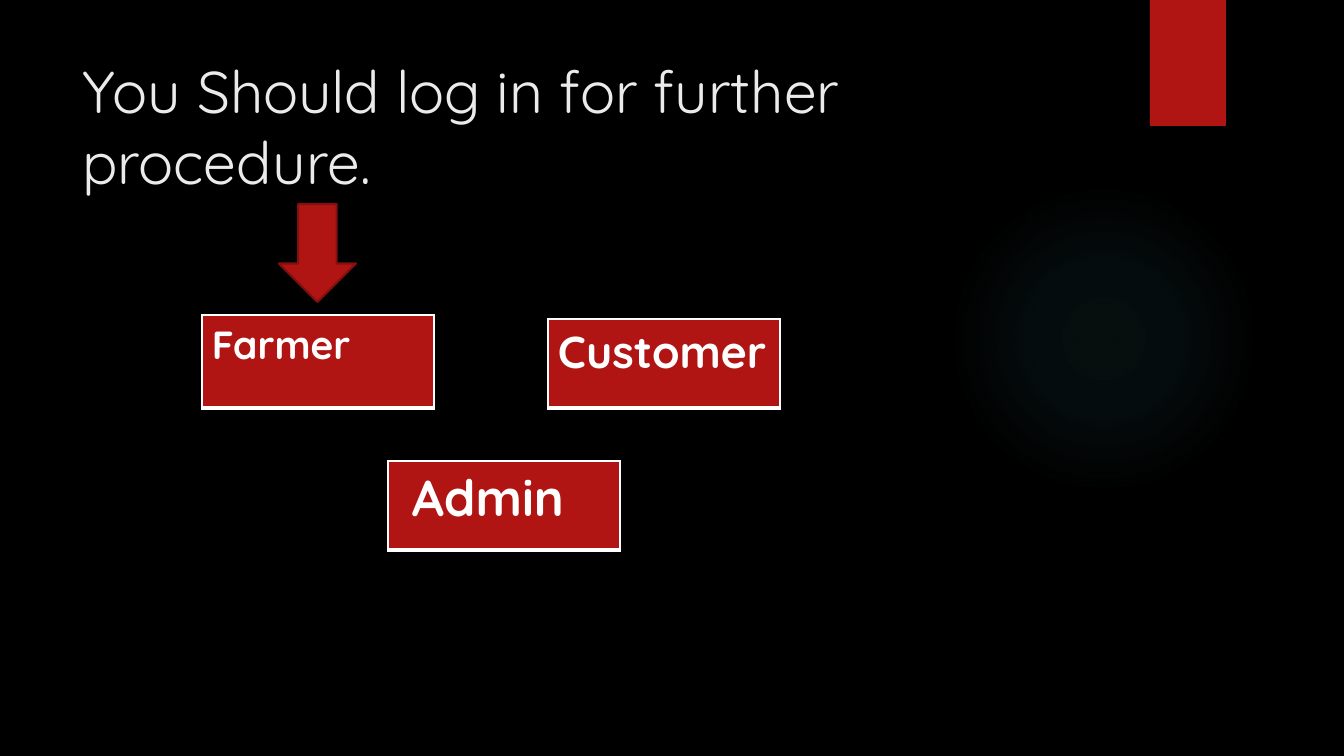
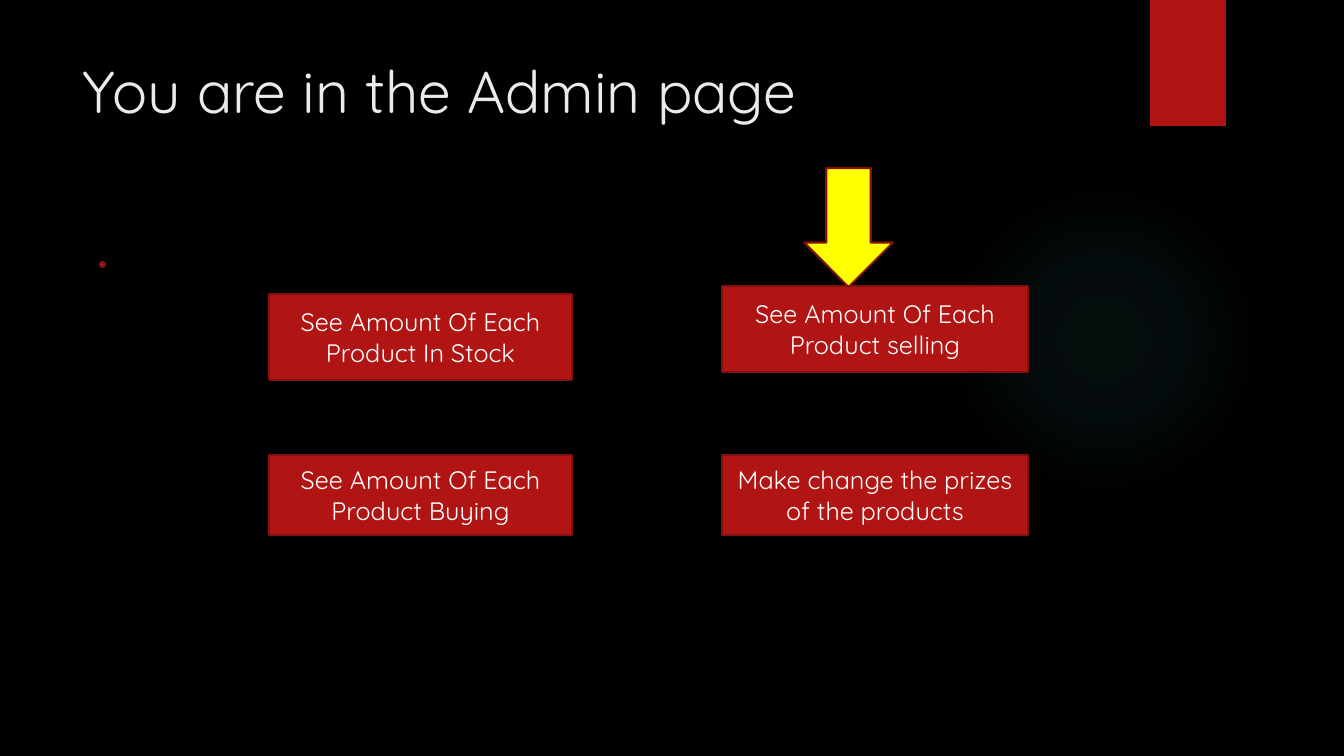
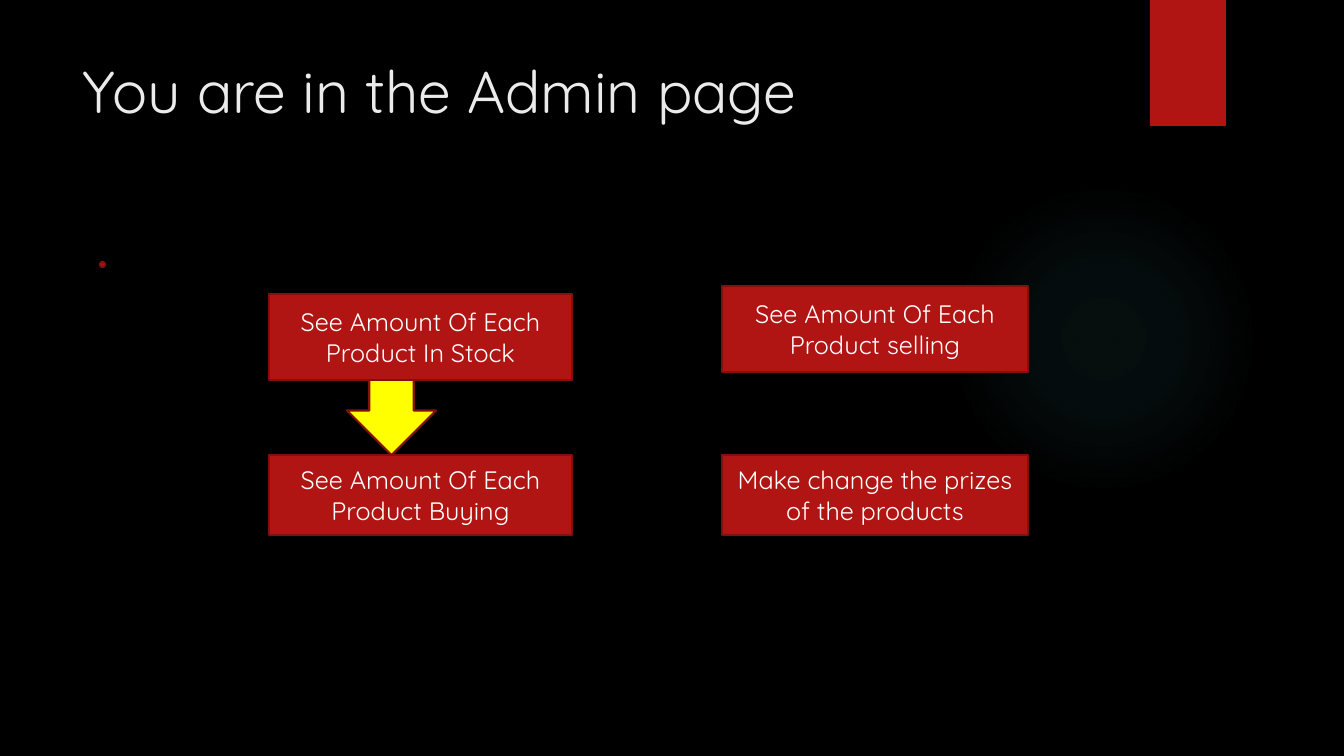
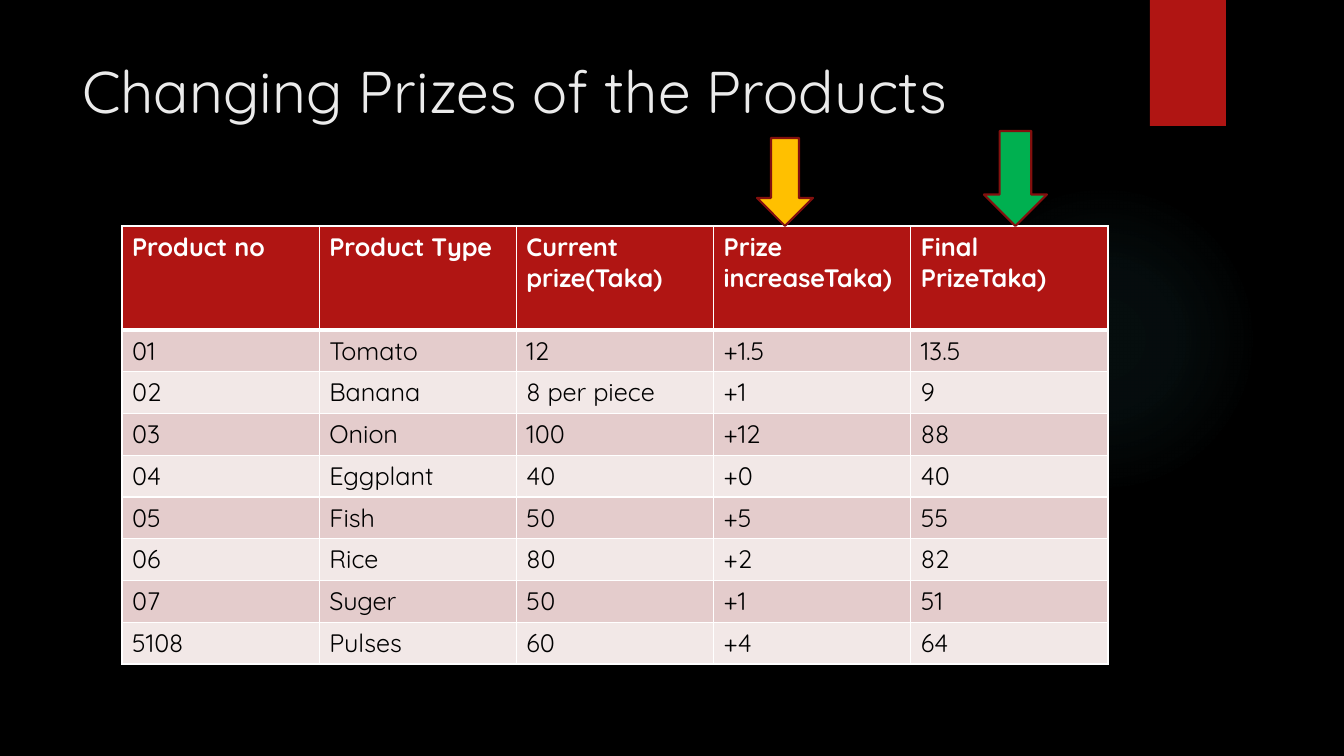
from pptx import Presentation
from pptx.dml.color import RGBColor
from pptx.enum.shapes import MSO_SHAPE
from pptx.enum.text import MSO_ANCHOR, MSO_AUTO_SIZE, PP_ALIGN
from pptx.oxml import parse_xml
from pptx.oxml.ns import nsdecls
from pptx.util import Pt

RECTANGLE = MSO_SHAPE.RECTANGLE
OVAL = MSO_SHAPE.OVAL
DOWN_ARROW = MSO_SHAPE.DOWN_ARROW
TOP = MSO_ANCHOR.TOP
MIDDLE = MSO_ANCHOR.MIDDLE
LEFT = PP_ALIGN.LEFT
CENTER = PP_ALIGN.CENTER
NO_AUTOFIT = MSO_AUTO_SIZE.NONE

SCALE = 12192000 / 1344
FONT = "Quicksand"
BLACK = "000000"
WHITE = "FFFFFF"
TITLE_GREY = "EBEBEB"
RED = "B01513"
DARK_RED = "82100E"
YELLOW = "FFFF00"
AMBER = "FFC000"
GREEN = "00B050"
BAND_FILLS = ("E4CCCC", "F2E8E7")
GLOW_COLOUR = "50B9C1"
GLOW_STOPS = ((0, 7), (36, 6), (69, 0))

ADMIN_ACTIONS = (
    ("See Amount Of Each Product In Stock", (269, 294, 303, 86)),
    ("See Amount Of Each Product selling", (722, 286, 306, 86)),
    ("See Amount Of Each Product Buying", (269, 455, 303, 80)),
    ("Make change the prizes of the products", (722, 455, 306, 80)),
)
PRICE_ROWS = (
    ("Product no", "Product Type", "Current prize(Taka)", "Prize increaseTaka)", "Final PrizeTaka)"),
    ("01", "Tomato", "12", "+1.5", "13.5"),
    ("02", "Banana", "8 per piece", "+1", "9"),
    ("03", "Onion", "100", "+12", "88"),
    ("04", "Eggplant", "40", "+0", "40"),
    ("05", "Fish", "50", "+5", "55"),
    ("06", "Rice", "80", "+2", "82"),
    ("07", "Suger", "50", "+1", "51"),
    ("5108", "Pulses", "60", "+4", "64"),
)


def px(length):
    return round(length * SCALE)


def place(box):
    return [px(length) for length in box]


def colour(value):
    return RGBColor.from_string(value)


def style_text(frame, text, size, value, align=LEFT, bold=False):
    frame.text = text
    para = frame.paragraphs[0]
    para.alignment = align
    para.font.name = FONT
    para.font.size = Pt(size)
    para.font.bold = bold
    para.font.color.rgb = colour(value)


def add_block(page, kind, box, fill, line=None):
    shape = page.shapes.add_shape(kind, *place(box))
    shape.shadow.inherit = False
    shape.fill.solid()
    shape.fill.fore_color.rgb = colour(fill)
    if line:
        shape.line.color.rgb = colour(line)
        shape.line.width = Pt(1.5)
    else:
        shape.line.fill.background()
    return shape


def add_glow(page, box):
    glow = page.shapes.add_shape(OVAL, *place(box))
    glow.shadow.inherit = False
    glow.line.fill.background()
    stops = "".join(
        f'<a:gs pos="{position * 1000}"><a:srgbClr val="{GLOW_COLOUR}">'
        f'<a:alpha val="{alpha * 1000}"/></a:srgbClr></a:gs>'
        for position, alpha in GLOW_STOPS
    )
    gradient = parse_xml(
        f'<a:gradFill {nsdecls("a")} rotWithShape="1"><a:gsLst>{stops}</a:gsLst>'
        '<a:path path="circle"><a:fillToRect l="50000" t="50000" r="50000" b="50000"/>'
        "</a:path></a:gradFill>"
    )
    glow.element.spPr.insert(2, gradient)
    return glow


def add_page(deck, heading):
    page = deck.slides.add_slide(deck.slide_layouts[5])
    title = page.shapes.title
    title.left, title.top, title.width, title.height = place((72, 50, 1037, 154))
    style_text(title.text_frame, heading, 42, TITLE_GREY)
    title.text_frame.word_wrap = True
    title.text_frame.auto_size = NO_AUTOFIT
    title.text_frame.vertical_anchor = TOP
    glow = add_glow(page, (949, 184, 310, 310))
    ribbon = add_block(page, RECTANGLE, (1150, 0, 76, 126), RED)
    for backdrop in (glow, ribbon):
        title.element.addprevious(backdrop.element)
    return page


def add_arrow(page, box, fill):
    add_block(page, DOWN_ARROW, box, fill, DARK_RED)


def add_action(page, text, box):
    action = add_block(page, RECTANGLE, box, RED, DARK_RED)
    action.text_frame.word_wrap = True
    action.text_frame.vertical_anchor = MIDDLE
    style_text(action.text_frame, text, 18, WHITE, CENTER)


def set_borders(cell, top=1, bottom=1):
    properties = cell._tc.get_or_add_tcPr()
    for index, (side, width) in enumerate((("L", 1), ("R", 1), ("T", top), ("B", bottom))):
        properties.insert(index, parse_xml(
            f'<a:ln{side} {nsdecls("a")} w="{Pt(width)}"><a:solidFill>'
            f'<a:srgbClr val="{WHITE}"/></a:solidFill></a:ln{side}>'
        ))


def fill_cell(cell, text, size, value, fill, bold=False, top=1, bottom=1):
    style_text(cell.text_frame, text, size, value, bold=bold)
    cell.fill.solid()
    cell.fill.fore_color.rgb = colour(fill)
    set_borders(cell, top, bottom)


def add_grid(page, rows, columns, box):
    grid = page.shapes.add_table(rows, columns, *place(box)).table
    grid.horz_banding = False
    return grid


def add_role(page, text, size, box, indent=10):
    cell = add_grid(page, 1, 1, box).cell(0, 0)
    fill_cell(cell, text, size, WHITE, RED, bold=True, bottom=3)
    cell.margin_left = px(indent)


def add_price_table(page, box, header_height):
    grid = add_grid(page, len(PRICE_ROWS), len(PRICE_ROWS[0]), box)
    body_height = px(box[3] - header_height) // (len(PRICE_ROWS) - 1)
    for row_index, values in enumerate(PRICE_ROWS):
        header = row_index == 0
        grid.rows[row_index].height = px(header_height) if header else body_height
        for column_index, text in enumerate(values):
            cell = grid.cell(row_index, column_index)
            if header:
                fill_cell(cell, text, 18, WHITE, RED, bold=True, bottom=3)
            else:
                fill = BAND_FILLS[(row_index - 1) % 2]
                fill_cell(cell, text, 18, BLACK, fill, top=3 if row_index == 1 else 1)


def build_login_page(deck):
    page = add_page(deck, "You Should log in for further procedure.")
    add_role(page, "Farmer", 28, (202, 315, 232, 93))
    add_role(page, "Customer", 32, (548, 319, 232, 89))
    add_role(page, "Admin", 36, (388, 461, 232, 89), indent=24)
    add_arrow(page, (279, 204, 77, 98), RED)


def build_admin_page(deck, arrow_left, arrow_top):
    page = add_page(deck, "You are in the Admin page")
    add_block(page, OVAL, (100, 262, 5, 5), RED, DARK_RED)
    add_arrow(page, (arrow_left, arrow_top, 89, 119), YELLOW)
    for text, box in ADMIN_ACTIONS:
        add_action(page, text, box)


def build_price_page(deck):
    page = add_page(deck, "Changing Prizes of the Products")
    add_price_table(page, (122, 226, 986, 438), 104)
    add_arrow(page, (757, 138, 56, 88), AMBER)
    add_arrow(page, (984, 131, 63, 95), GREEN)


def main():
    deck = Presentation()
    deck.slide_width, deck.slide_height = px(1344), px(756)
    backdrop = deck.slide_master.background.fill
    backdrop.solid()
    backdrop.fore_color.rgb = colour(BLACK)
    build_login_page(deck)
    build_admin_page(deck, 804, 168)
    build_admin_page(deck, 347, 336)
    build_price_page(deck)
    deck.save("out.pptx")


if __name__ == "__main__":
    main()
